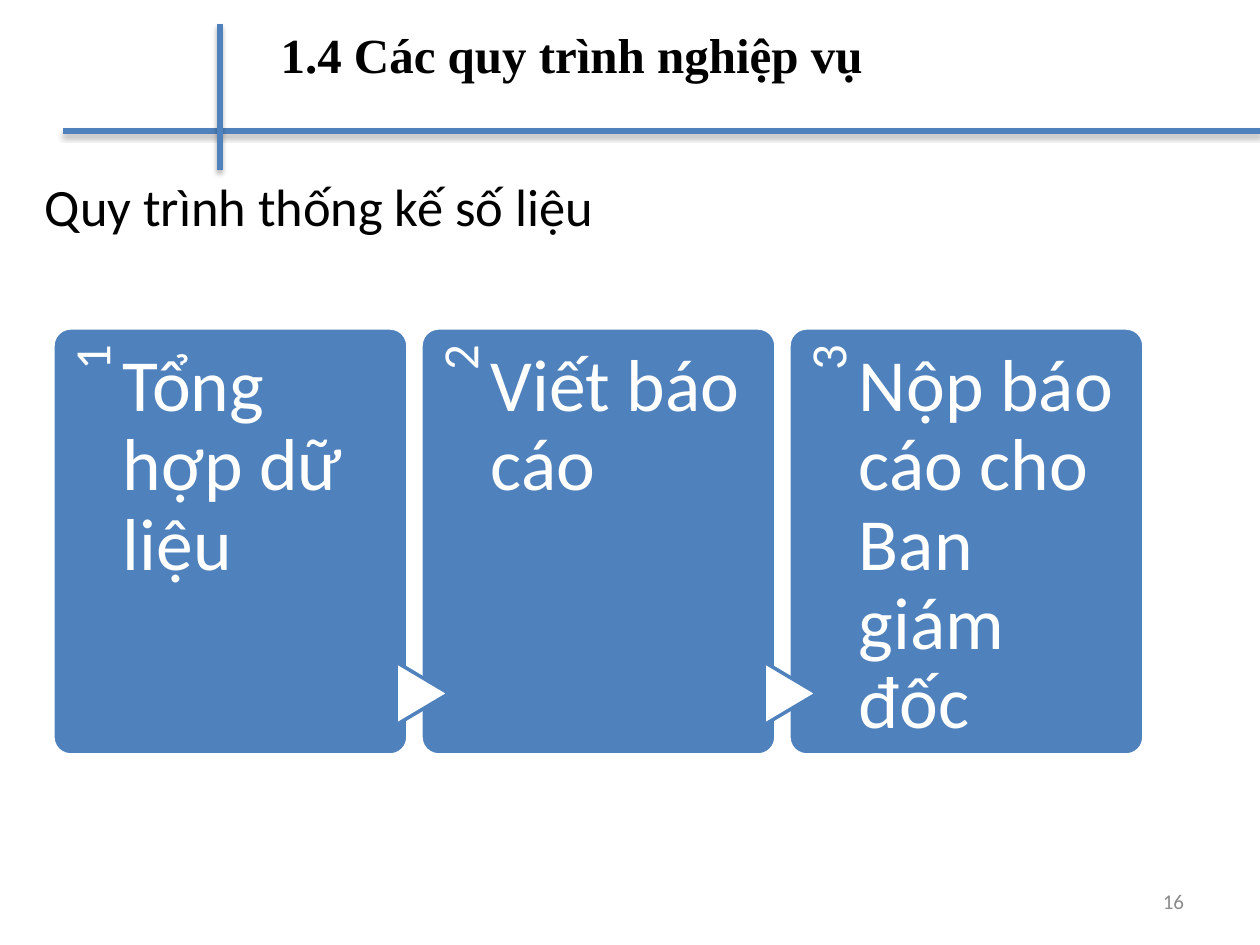
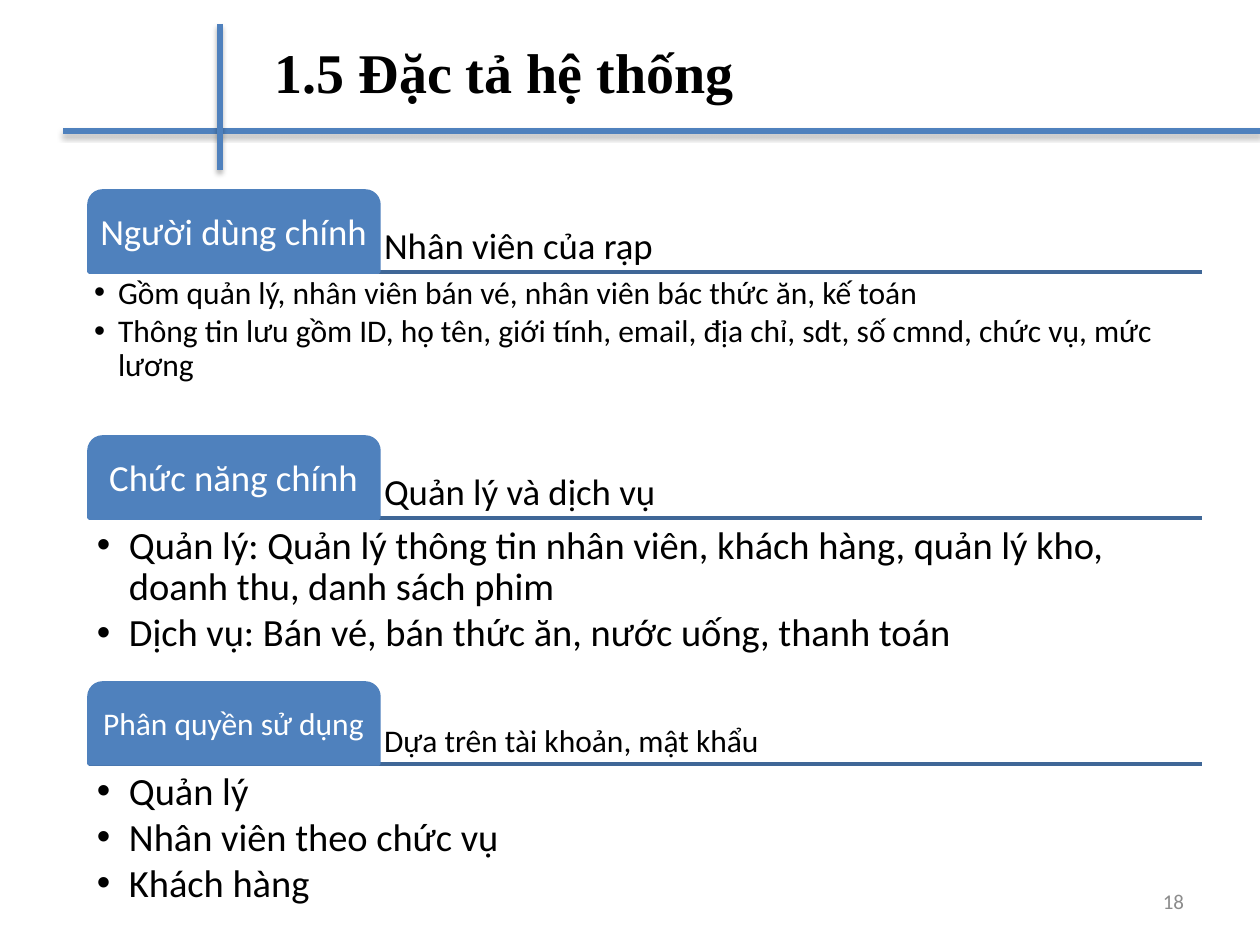
"""Build two slides on the business processes and the specification of a cinema system."""
from lxml import etree
from pptx import Presentation
from pptx import util as u
from pptx.dml.color import RGBColor
from pptx.enum import shapes, text
from pptx.oxml import ns

PX = u.Inches(1) / 126
BLUE = RGBColor(0x4F, 0x81, 0xBD)
DARK_BLUE = RGBColor(0x3F, 0x67, 0x97)
WHITE = RGBColor(0xFF, 0xFF, 0xFF)
BLACK = RGBColor(0, 0, 0)
GREY = RGBColor(0x8C, 0x8C, 0x8C)
BODY_FONT, TITLE_FONT = "Calibri", "Times New Roman"
SHADOW = {"blurRad": "39370", "dist": "22860", "dir": "5400000", "rotWithShape": "0"}


def add_line(slide, ends, colour, width, shadow=False):
    line = slide.shapes.add_connector(
        shapes.MSO_CONNECTOR.STRAIGHT, *[round(end * PX) for end in ends])
    line.line.color.rgb = colour
    line.line.width = u.Pt(width)
    effects = etree.SubElement(line._element.spPr, ns.qn("a:effectLst"))
    if shadow:
        outer = etree.SubElement(effects, ns.qn("a:outerShdw"), SHADOW)
        black = etree.SubElement(outer, ns.qn("a:srgbClr"), val="000000")
        etree.SubElement(black, ns.qn("a:alpha"), val="35000")


def add_text(slide, box, lines, size, colour, insets=(13, 6, 13, 6), align=text.PP_ALIGN.LEFT,
             anchor=text.MSO_ANCHOR.TOP, spacing=0.9, hang=0):
    label = slide.shapes.add_textbox(*[round(length * PX) for length in box])
    frame = label.text_frame
    frame.word_wrap = True
    frame.vertical_anchor = anchor
    (frame.margin_left, frame.margin_top,
     frame.margin_right, frame.margin_bottom) = [round(inset * PX) for inset in insets]
    frame.text = "\n".join(lines)
    for paragraph in frame.paragraphs:
        paragraph.alignment = align
        paragraph.line_spacing = spacing
        if hang:
            paragraph.space_after = u.Pt(2.5)
            properties = paragraph._p.get_or_add_pPr()
            properties.set("marL", str(round(hang * PX)))
            properties.set("indent", str(round(-hang * PX)))
            etree.SubElement(properties, ns.qn("a:buFont"), typeface="Arial")
            etree.SubElement(properties, ns.qn("a:buChar"), char="•")
        paragraph.font.size = u.Pt(size)
        paragraph.font.name = BODY_FONT
        paragraph.font.color.rgb = colour
    return label


deck = Presentation()
deck.slide_width, deck.slide_height = round(1260 * PX), round(945 * PX)

headings = [
    ("1.4 Các quy trình nghiệp vụ", (268, 18, 630, 136), 28, "16"),
    ("1.5 Đặc tả hệ thống", (262, 31, 489, 81), 32, "18"),
]
slides = []
for heading, box, size, number in headings:
    slide = deck.slides.add_slide(deck.slide_layouts[5])
    slides.append(slide)
    title = slide.shapes.title
    title.left, title.top, title.width, title.height = [round(length * PX) for length in box]
    title.text_frame.text = heading
    title.text_frame.word_wrap = True
    title.text_frame.auto_size = text.MSO_AUTO_SIZE.NONE
    title.text_frame.vertical_anchor = text.MSO_ANCHOR.TOP
    paragraph = title.text_frame.paragraphs[0]
    paragraph.alignment = text.PP_ALIGN.LEFT
    paragraph.font.name = TITLE_FONT
    paragraph.font.size = u.Pt(size)
    paragraph.font.bold = True
    paragraph.font.color.rgb = BLACK
    add_line(slide, (63, 131, 1260, 131), BLUE, 3, shadow=True)
    add_line(slide, (220, 24, 220, 170), BLUE, 3, shadow=True)
    add_text(slide, (903, 876, 294, 50), [number], 12, GREY, align=text.PP_ALIGN.RIGHT,
             anchor=text.MSO_ANCHOR.MIDDLE, spacing=1.0)

process, specification = slides

add_text(process, (32, 168, 1144, 77), ["Quy trình thống kế số liệu"], 30, BLACK, spacing=1.0)
steps = ["Tổng hợp dữ liệu", "Viết báo cáo", "Nộp báo cáo cho Ban giám đốc"]
for index, step in enumerate(steps):
    left = 53 + index * 368
    card = process.shapes.add_shape(
        shapes.MSO_SHAPE.ROUNDED_RECTANGLE,
        *[round(length * PX) for length in (left, 328, 355, 427)])
    card.adjustments[0] = 0.05
    card.fill.solid()
    card.fill.fore_color.rgb = BLUE
    card.line.color.rgb = WHITE
    card.line.width = u.Pt(2)
    card.shadow.inherit = False
    step_number = add_text(process, (left - 140, 466, 350, 71), [str(index + 1)], 29, WHITE,
                           insets=(0, 14, 18, 0), align=text.PP_ALIGN.RIGHT)
    step_number.rotation = 270
    if index:
        arrow = process.shapes.add_shape(
            shapes.MSO_SHAPE.FLOWCHART_EXTRACT,
            *[round(length * PX) for length in (left - 30, 667, 63, 53)])
        arrow.rotation = 90
        arrow.fill.solid()
        arrow.fill.fore_color.rgb = WHITE
        arrow.line.color.rgb = BLUE
        arrow.line.width = u.Pt(2)
        arrow.shadow.inherit = False
    add_text(process, (left + 70, 328, 265, 427), [step], 42, WHITE, insets=(0, 20, 0, 0))

sections = [
    ("Người dùng chính", "Nhân viên của rạp", 21, 18, 5, 24, [
        "Gồm quản lý, nhân viên bán vé, nhân viên bác thức ăn, kế toán",
        "Thông tin lưu gồm ID, họ tên, giới tính, email, địa chỉ, sdt, số cmnd, chức vụ, mức lương",
    ]),
    ("Chức năng chính", "Quản lý và dịch vụ", 21, 22, 8, 32, [
        "Quản lý: Quản lý thông tin nhân viên, khách hàng, quản lý kho, doanh thu, danh sách phim",
        "Dịch vụ: Bán vé, bán thức ăn, nước uống, thanh toán",
    ]),
    ("Phân quyền sử dụng", "Dựa trên tài khoản, mật khẩu", 18, 22, 8, 32, [
        "Quản lý", "Nhân viên theo chức vụ", "Khách hàng",
    ]),
]
for index, (topic, summary, head_size, detail_size, inset, hang, details) in enumerate(sections):
    top = 191 + index * 246
    rule = top + 81
    add_line(specification, (89, rule, 1202, rule), DARK_BLUE, 2)
    add_text(specification, (379, top, 823, 81), [summary], head_size, BLACK,
             insets=(5, 5, 5, 5), anchor=text.MSO_ANCHOR.BOTTOM)
    tab = specification.shapes.add_shape(
        shapes.MSO_SHAPE.ROUND_2_SAME_RECTANGLE,
        *[round(length * PX) for length in (89, top, 290, 81)])
    tab.adjustments[0] = 0.167
    tab.adjustments[1] = 0
    tab.fill.solid()
    tab.fill.fore_color.rgb = BLUE
    tab.line.color.rgb = BLUE
    tab.line.width = u.Pt(2)
    tab.shadow.inherit = False
    add_text(specification, (93, top + 4, 281, 77), [topic], head_size, WHITE,
             insets=(5, 5, 5, 5), align=text.PP_ALIGN.CENTER, anchor=text.MSO_ANCHOR.MIDDLE)
    add_text(specification, (89, rule, 1113, 161), details, detail_size, BLACK,
             insets=(inset,) * 4, hang=hang)

deck.save("out.pptx")
